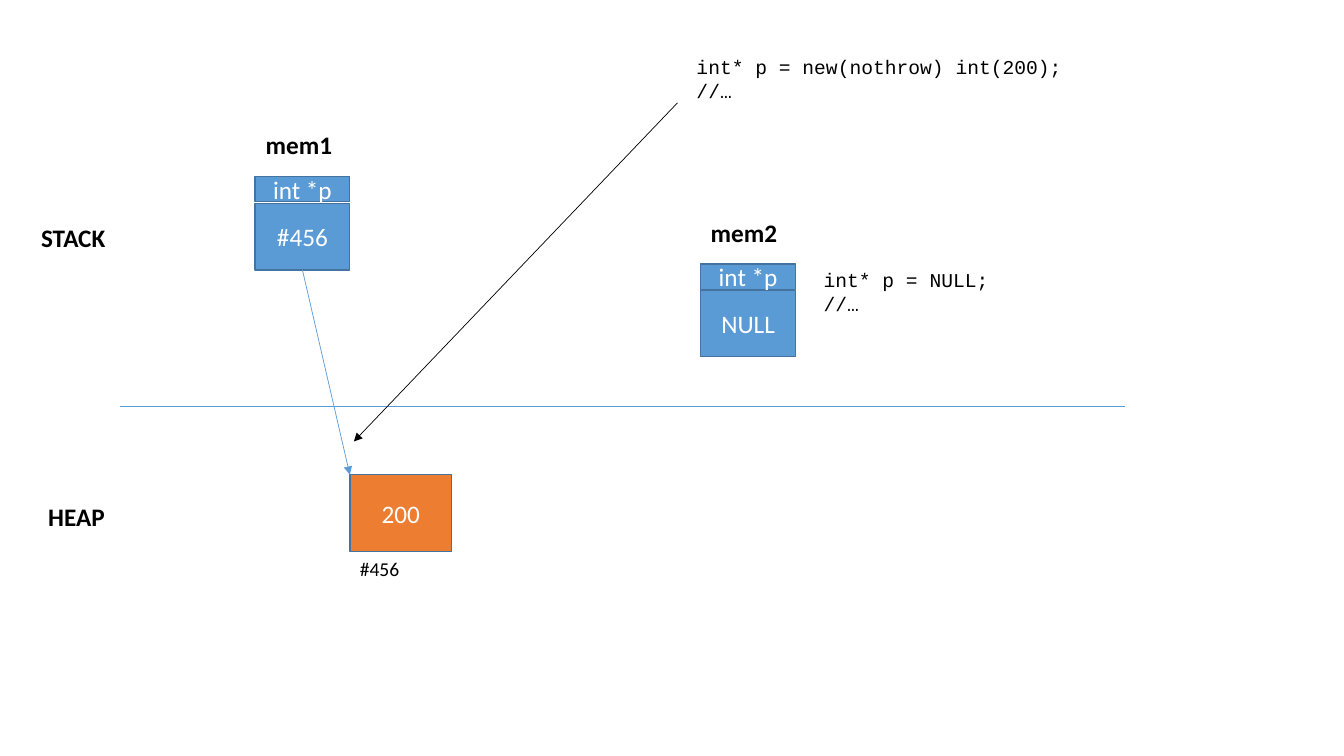
from lxml.etree import SubElement
from pptx import Presentation
from pptx.dml.color import RGBColor
from pptx.enum.shapes import MSO_CONNECTOR, MSO_SHAPE
from pptx.enum.text import MSO_ANCHOR, MSO_AUTO_SIZE, PP_ALIGN
from pptx.oxml.ns import qn
from pptx.util import Inches, Pt

BLACK, WHITE = "000000", "FFFFFF"
BLUE, DARK_BLUE, ORANGE = "5B9BD5", "43739E", "ED7D31"


def rgb(value):
    """Turn a hex string into a colour."""
    return RGBColor.from_string(value)


def write(tf, lines, size, color, font="Calibri", bold=False, align=PP_ALIGN.LEFT):
    """Fill a text frame with one paragraph per line."""
    tf.word_wrap = True
    for i, line in enumerate(lines):
        p = tf.paragraphs[0] if i == 0 else tf.add_paragraph()
        p.alignment = align
        r = p.add_run()
        r.text = line
        r.font.name = font
        r.font.size = Pt(size)
        r.font.bold = bold
        r.font.color.rgb = rgb(color)


def add_text(s, x, y, w, h, lines, size=18, **style):
    """Add a black text box."""
    tf = s.shapes.add_textbox(Inches(x), Inches(y), Inches(w), Inches(h)).text_frame
    write(tf, lines, size, BLACK, **style)
    tf.auto_size = MSO_AUTO_SIZE.SHAPE_TO_FIT_TEXT


def add_code(s, x, y, lines):
    """Add a code snippet."""
    add_text(s, x, y, 4.83, 0.81, lines, 14, font="Courier New")


def add_cell(s, x, y, w, h, text, fill=BLUE):
    """Add a memory cell with centred text."""
    sp = s.shapes.add_shape(MSO_SHAPE.RECTANGLE, Inches(x), Inches(y), Inches(w), Inches(h))
    sp.shadow.inherit = False
    sp.fill.solid()
    sp.fill.fore_color.rgb = rgb(fill)
    sp.line.color.rgb = rgb(DARK_BLUE)
    sp.line.width = Pt(1)
    sp.text_frame.vertical_anchor = MSO_ANCHOR.MIDDLE
    write(sp.text_frame, [text], 18, WHITE, align=PP_ALIGN.CENTER)
    return sp


def add_pointer(s, x, y, value_y, value):
    """Add a pointer's name cell and its value cell, returning the latter."""
    add_cell(s, x, y, 0.94, 0.25, "int *p")
    return add_cell(s, x, value_y, 0.94, 0.66, value)


def add_line(s, x1, y1, x2, y2, color, arrow=False):
    """Add a thin straight line, with an arrowhead at its end if wanted."""
    line = s.shapes.add_connector(
        MSO_CONNECTOR.STRAIGHT, Inches(x1), Inches(y1), Inches(x2), Inches(y2))
    line.line.color.rgb = rgb(color)
    line.line.width = Pt(0.5)
    if arrow:
        SubElement(line.line._get_or_add_ln(), qn("a:tailEnd"), type="triangle")
    SubElement(line._element.spPr, qn("a:effectLst"))
    return line


def main():
    """Build the stack and heap slide."""
    prs = Presentation()
    prs.slide_width, prs.slide_height = Inches(13.33), Inches(7.5)
    s = prs.slides.add_slide(prs.slide_layouts[6])

    add_text(s, 0.31, 2.16, 0.87, 0.4, ["STACK"], bold=True, align=PP_ALIGN.LEFT)
    add_text(s, 0.38, 4.92, 0.87, 0.4, ["HEAP"], bold=True)
    add_line(s, 1.19, 4.03, 11.16, 4.03, BLUE)

    add_text(s, 2.16, 1.23, 1.61, 0.4, ["mem1"], bold=True, align=PP_ALIGN.CENTER)
    address = add_pointer(s, 2.53, 1.75, 2.02, "#456")
    add_cell(s, 3.47, 4.71, 1.01, 0.76, "200", ORANGE)
    add_text(s, 3.47, 5.48, 1.03, 0.34, ["#456"], 14)
    add_line(s, 3, 2.68, 3.47, 4.71, BLUE, arrow=True).begin_connect(address, 2)

    add_code(s, 6.81, 0.5, ["int* p = new(nothrow) int(200);", "//…"])
    add_line(s, 6.72, 1.02, 3.51, 4.38, BLACK, arrow=True)

    add_text(s, 6.95, 2.11, 1.61, 0.4, ["mem2"], bold=True)
    add_pointer(s, 6.95, 2.62, 2.88, "NULL")
    add_code(s, 8.07, 2.61, ["int* p = NULL;", "//…"])

    prs.save("out.pptx")


if __name__ == "__main__":
    main()
